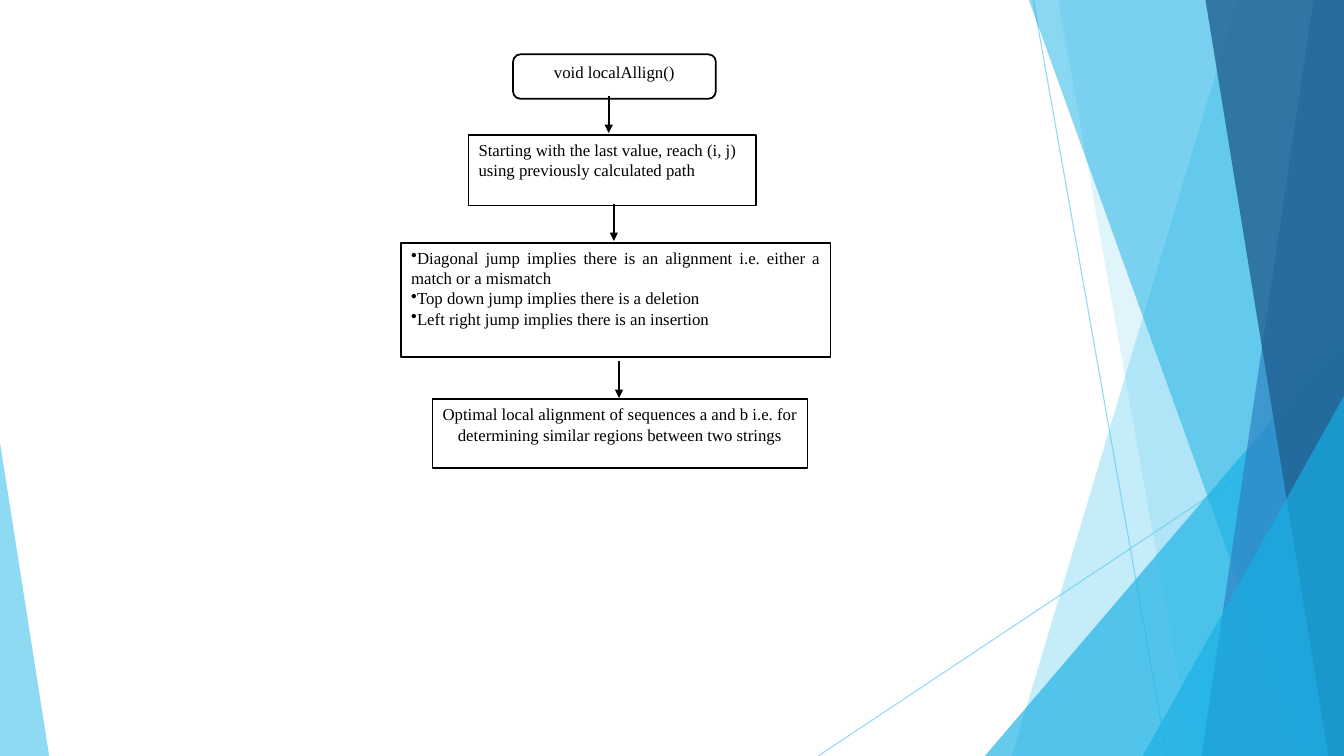
from dataclasses import dataclass

from lxml import etree
from pptx import Presentation
from pptx import util as u
from pptx.dml.color import RGBColor
from pptx.enum import shapes, text
from pptx.oxml import ns

KIND = shapes.MSO_SHAPE
ALIGN = text.PP_ALIGN


@dataclass(frozen=True)
class Theme:
    font: str = "Times New Roman"
    size: float = 12
    ink: str = "000000"
    paper: str = "FFFFFF"
    pale: str = "5FCBEF"
    cyan: str = "17B0E4"
    blue: str = "2E83C3"
    navy: str = "226292"
    rule: float = 1.25
    hair: float = 0.75


@dataclass(frozen=True)
class Box:
    """A region in centimetres."""
    x: float
    y: float
    w: float
    h: float

    def sub(self, x, y, w, h):
        return Box(self.x + x, self.y + y, w, h)

    def emu(self):
        return [u.Cm(n) for n in (self.x, self.y, self.w, self.h)]


THEME = Theme()
PAGE = Box(0, 0, 33.87, 19.05)


def tint(fill, color, alpha=100):
    """Set a solid colour with an opacity in percent."""
    fill.solid()
    fill.fore_color.rgb = RGBColor.from_string(color)
    if alpha < 100:
        node = fill.fore_color._xFill.find(ns.qn("a:srgbClr"))
        etree.SubElement(node, ns.qn("a:alpha"), val=str(alpha * 1000))


def facet(shape, color, alpha):
    shape.shadow.inherit = False
    tint(shape.fill, color, alpha)
    shape.line.fill.background()


def link(slide, start, end, color=THEME.ink, width=THEME.rule, alpha=100, head=False):
    points = [u.Cm(n) for n in (*start, *end)]
    line = slide.shapes.add_connector(shapes.MSO_CONNECTOR.STRAIGHT, *points)
    line.line.width = u.Pt(width)
    tint(line.line.fill, color, alpha)
    if head:
        etree.SubElement(line.line._get_or_add_ln(), ns.qn("a:tailEnd"), type="triangle")
    etree.SubElement(line._element.spPr, ns.qn("a:effectLst"))


def write(shape, lines, align=ALIGN.LEFT, bullet=None):
    frame = shape.text_frame
    frame.word_wrap = True
    frame.vertical_anchor = text.MSO_ANCHOR.TOP
    for i, words in enumerate(lines):
        para = frame.add_paragraph() if i else frame.paragraphs[0]
        para.alignment = align
        if bullet:
            props = para._p.get_or_add_pPr()
            etree.SubElement(props, ns.qn("a:buChar"), char=bullet)
        run = para.add_run()
        run.text = words
        run.font.name = THEME.font
        run.font.size = u.Pt(THEME.size)
        run.font.color.rgb = RGBColor.from_string(THEME.ink)


def step(slide, box, lines, kind=KIND.RECTANGLE, **form):
    shape = slide.shapes.add_shape(kind, *box.emu())
    shape.shadow.inherit = False
    tint(shape.fill, THEME.paper)
    tint(shape.line.fill, THEME.ink)
    shape.line.width = u.Pt(THEME.rule)
    write(shape, lines, **form)


def band(slide, box, top, base, color, alpha):
    """Fill from a slanted left edge to the right side of the box."""
    right, foot = box.x + box.w, box.y + box.h
    points = [(box.x + top, box.y), (right, box.y), (right, foot), (box.x + base, foot)]
    points = [(u.Cm(x), u.Cm(y)) for x, y in points]
    path = slide.shapes.build_freeform(*points[0])
    path.add_line_segments(points[1:], close=True)
    facet(path.convert_to_shape(), color, alpha)


def wedge(slide, box, apex, color, alpha):
    shape = slide.shapes.add_shape(KIND.ISOSCELES_TRIANGLE, *box.emu())
    shape.adjustments[0] = apex
    facet(shape, color, alpha)


def decor(slide, box):
    right, foot = box.x + box.w, box.y + box.h

    def corner(w, h, alpha=66):
        wedge(slide, Box(right - w, foot - h, w, h), 1, THEME.cyan, alpha)

    hair = dict(color=THEME.pale, width=THEME.hair, alpha=70)
    link(slide, (box.x + 26.04, box.y), (box.x + 29.41, foot), **hair)
    link(slide, (right, box.y + 10.24), (box.x + 20.62, foot), **hair)
    band(slide, box, 31.19, 25.5, THEME.pale, 36)
    band(slide, box, 26.67, 30.05, THEME.pale, 20)
    corner(9.05, 10.59)
    band(slide, box, 25.93, 32.79, THEME.cyan, 50)
    band(slide, box, 33.1, 30.28, THEME.blue, 70)
    band(slide, box, 30.38, 33.48, THEME.navy, 80)
    corner(5.07, 9.07)
    wedge(slide, Box(box.x, foot - 7.9, 1.24, 7.9), 0, THEME.pale, 70)


def flow(slide, box):
    step(slide, box.sub(2.82, 0, 5.11, 1.12), ["void localAllign()"],
         kind=KIND.ROUNDED_RECTANGLE, align=ALIGN.CENTER)
    step(slide, box.sub(1.7, 2.03, 7.24, 1.78),
         ["Starting with the last value, reach (i, j) using previously calculated path"])
    step(slide, box.sub(0, 4.75, box.w, 2.87),
         ["Diagonal jump implies there is an alignment i.e. either a match or a mismatch",
          "Top down jump implies there is a deletion",
          "Left right jump implies there is an insertion"],
         align=ALIGN.JUSTIFY, bullet="•")
    step(slide, box.sub(0.79, 8.69, 9.45, 1.73),
         ["Optimal local alignment of sequences a and b i.e. for "
          "determining similar regions between two strings"], align=ALIGN.CENTER)
    for x, y in ((5.23, 1.04), (5.36, 3.76), (5.49, 7.72)):
        x, y = box.x + x, box.y + y
        link(slide, (x, y), (x, y + 0.94), head=True)


def main():
    deck = Presentation()
    deck.slide_width, deck.slide_height = u.Cm(PAGE.w), u.Cm(PAGE.h)
    slide = deck.slides.add_slide(deck.slide_layouts[6])
    tint(slide.background.fill, THEME.paper)
    decor(slide, PAGE)
    flow(slide, PAGE.sub(10.11, 1.37, 10.82, 10.42))
    deck.save("out.pptx")


if __name__ == "__main__":
    main()
